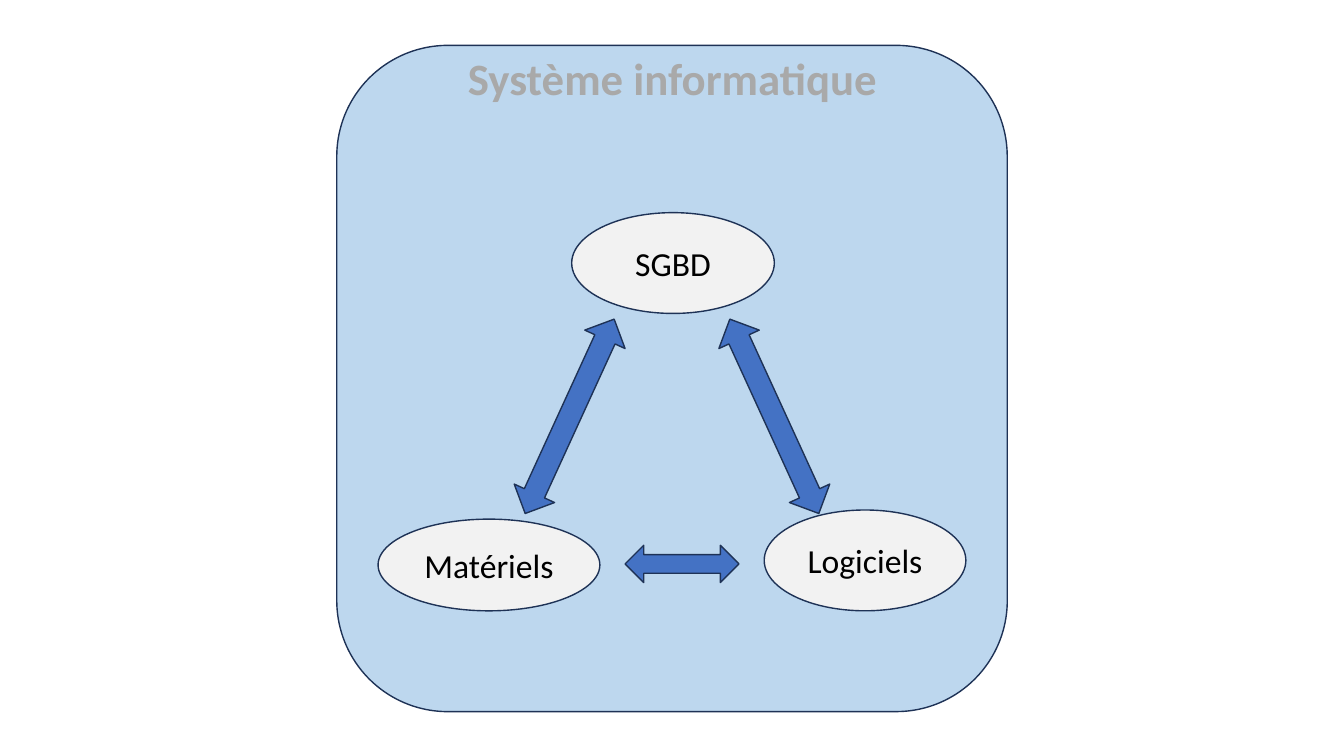
import pptx
import pptx.util
import pptx.dml.color
import pptx.enum.shapes
import pptx.enum.text
import pptx.oxml
import pptx.oxml.ns

PX = 9144
FONT = "Calibri"
COLORS = {"panel": "BDD7EE", "node": "F2F2F2", "arrow": "4472C4",
          "line": "1E3256", "text": "000000", "outline": "FFFFFF"}
TITLE = ("Système informatique", (452, 45, 430, 64))
TITLE_STOPS = [(0, "777777"), (50, "A9A9A9"), (100, "C9C9C9")]
PANEL = (334, 45, 665, 661)
NODES = [
    ("SGBD", (567, 211, 201, 100)),
    ("Matériels", (375, 515, 220, 91)),
    ("Logiciels", (758, 506, 200, 100)),
]
ARROWS = [
    ((620, 541, 113, 37), 0),
    ((459, 391, 212, 44), 114.6),
    ((662, 391, 212, 44), 245.4),
]

SHAPE = pptx.enum.shapes.MSO_SHAPE


def rgb(name):
    return pptx.dml.color.RGBColor.from_string(COLORS[name])


def emu(box):
    return [pptx.util.Emu(v * PX) for v in box]


def add_shape(slide, kind, box, fill):
    sp = slide.shapes.add_shape(kind, *emu(box))
    sp.shadow.inherit = False
    sp.fill.solid()
    sp.fill.fore_color.rgb = rgb(fill)
    sp.line.color.rgb = rgb("line")
    sp.line.width = pptx.util.Pt(1)
    return sp


def write(tf, text, size):
    tf.text = text
    p = tf.paragraphs[0]
    p.alignment = pptx.enum.text.PP_ALIGN.CENTER
    r = p.runs[0]
    r.font.name = FONT
    r.font.size = pptx.util.Pt(size)
    return r


def style_title(r):
    ns = pptx.oxml.ns.nsdecls("a")
    stops = "".join(f'<a:gs pos="{pos * 1000}"><a:srgbClr val="{color}"/></a:gs>'
                    for pos, color in TITLE_STOPS)
    outline = (f'<a:ln {ns} w="9525"><a:solidFill><a:srgbClr val="{COLORS["outline"]}"/>'
               '</a:solidFill></a:ln>')
    gradient = (f'<a:gradFill {ns}><a:gsLst>{stops}</a:gsLst><a:path path="circle">'
                '<a:fillToRect l="50000" t="50000" r="50000" b="50000"/>'
                '</a:path></a:gradFill>')
    rPr = r.font._element
    for i, xml in enumerate((outline, gradient)):
        rPr.insert(i, pptx.oxml.parse_xml(xml))


def main():
    prs = pptx.Presentation()
    prs.slide_width = pptx.util.Inches(13.33)
    prs.slide_height = pptx.util.Inches(7.5)
    slide = prs.slides.add_slide(prs.slide_layouts[6])

    add_shape(slide, SHAPE.ROUNDED_RECTANGLE, PANEL, "panel")

    text, box = TITLE
    tf = slide.shapes.add_textbox(*emu(box)).text_frame
    tf.word_wrap = False
    tf.auto_size = pptx.enum.text.MSO_AUTO_SIZE.SHAPE_TO_FIT_TEXT
    r = write(tf, text, 32)
    r.font.bold = True
    style_title(r)

    for text, box in NODES:
        tf = add_shape(slide, SHAPE.OVAL, box, "node").text_frame
        tf.vertical_anchor = pptx.enum.text.MSO_ANCHOR.MIDDLE
        write(tf, text, 24).font.color.rgb = rgb("text")

    for box, angle in ARROWS:
        add_shape(slide, SHAPE.LEFT_RIGHT_ARROW, box, "arrow").rotation = angle

    prs.save("out.pptx")


if __name__ == "__main__":
    main()
